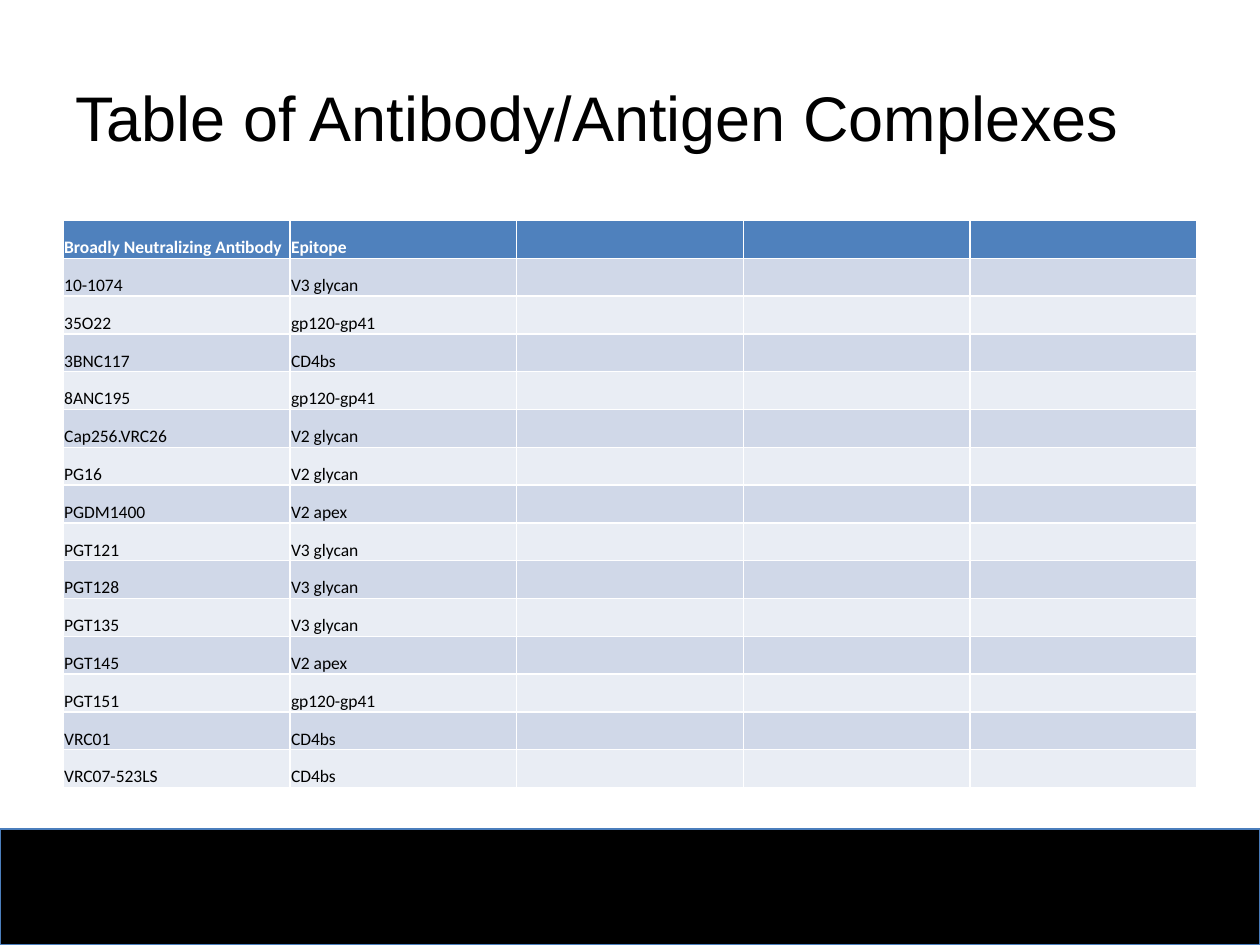
from lxml import etree
from pptx import Presentation
from pptx.dml.color import RGBColor
from pptx.enum.shapes import MSO_SHAPE
from pptx.enum.text import MSO_ANCHOR, PP_ALIGN
from pptx.oxml.ns import qn
from pptx.util import Inches, Pt

COLORS = {
    "black": "000000",
    "white": "FFFFFF",
    "footer_line": "4B7EBC",
    "header": "4F81BD",
    "band_dark": "D0D8E8",
    "band_light": "E9EDF4",
}
ROWS = [
    ("Broadly Neutralizing Antibody", "Epitope"),
    ("10-1074", "V3 glycan"),
    ("35O22", "gp120-gp41"),
    ("3BNC117", "CD4bs"),
    ("8ANC195", "gp120-gp41"),
    ("Cap256.VRC26", "V2 glycan"),
    ("PG16", "V2 glycan"),
    ("PGDM1400", "V2 apex"),
    ("PGT121", "V3 glycan"),
    ("PGT128", "V3 glycan"),
    ("PGT135", "V3 glycan"),
    ("PGT145", "V2 apex"),
    ("PGT151", "gp120-gp41"),
    ("VRC01", "CD4bs"),
    ("VRC07-523LS", "CD4bs"),
]
COLUMNS = 5


def color(name):
    return RGBColor.from_string(COLORS[name])


def add_run(p, text, font, size, name, bold=False):
    r = p.add_run()
    r.text = text
    r.font.name = font
    r.font.size = Pt(size)
    r.font.bold = bold
    r.font.color.rgb = color(name)


prs = Presentation()
prs.slide_width = Inches(10)
prs.slide_height = Inches(7.5)
s = prs.slides.add_slide(prs.slide_layouts[6])

footer = s.shapes.add_shape(
    MSO_SHAPE.RECTANGLE, Inches(0), Inches(6.58), Inches(10), Inches(0.92)
)
footer.shadow.inherit = False
footer.fill.solid()
footer.fill.fore_color.rgb = color("black")
footer.line.color.rgb = color("footer_line")
footer.line.width = Pt(0.75)

title = s.shapes.add_textbox(Inches(0.5), Inches(0.3), Inches(9), Inches(1.25))
tf = title.text_frame
tf.word_wrap = True
tf.vertical_anchor = MSO_ANCHOR.MIDDLE
p = tf.paragraphs[0]
p.alignment = PP_ALIGN.LEFT
add_run(p, "Table of Antibody/Antigen Complexes", "Arial", 36, "black")

table = s.shapes.add_table(
    len(ROWS), COLUMNS, Inches(0.5), Inches(1.75), Inches(9), Inches(4.5)
).table
for col in table.columns:
    col.width = Inches(9 / COLUMNS)
for i, values in enumerate(ROWS):
    table.rows[i].height = Inches(4.5 / len(ROWS))
    is_header = i == 0
    fill = "header" if is_header else "band_dark" if i % 2 else "band_light"
    for j in range(COLUMNS):
        cell = table.cell(i, j)
        cell.fill.solid()
        cell.fill.fore_color.rgb = color(fill)
        cell.vertical_anchor = MSO_ANCHOR.BOTTOM
        cell.margin_left = cell.margin_right = cell.margin_top = Inches(0.01)
        cell.margin_bottom = Inches(0)
        p = cell.text_frame.paragraphs[0]
        if j < len(values):
            text_color = "white" if is_header else "black"
            add_run(p, values[j], "Calibri", 10, text_color, is_header)
        else:
            etree.SubElement(p._p, qn("a:endParaRPr"), sz="1000")

prs.save("out.pptx")
